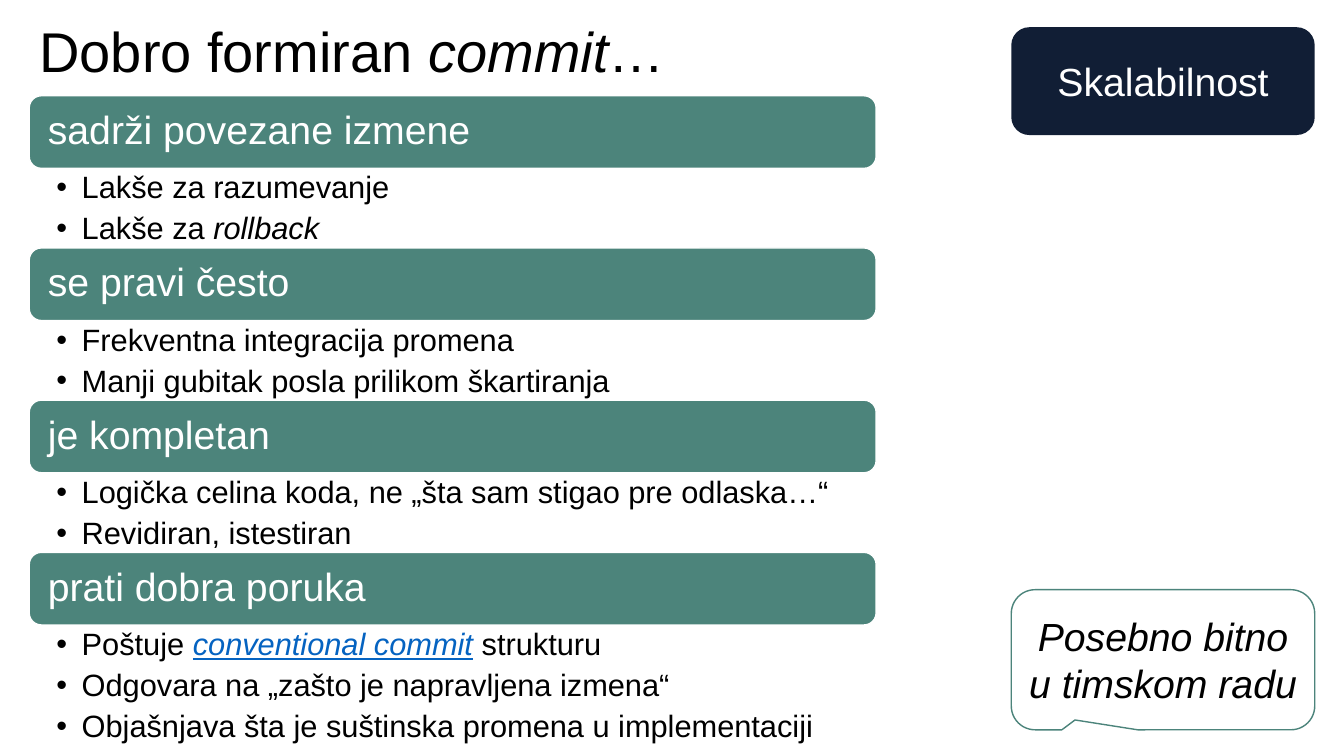
from lxml import etree
from pptx import Presentation
from pptx.dml.color import RGBColor
from pptx.enum.shapes import MSO_SHAPE
from pptx.enum.text import MSO_ANCHOR, MSO_AUTO_SIZE, PP_ALIGN
from pptx.oxml.ns import qn
from pptx.util import Inches, Pt

ROUNDED = MSO_SHAPE.ROUNDED_RECTANGLE
CALLOUT = MSO_SHAPE.ROUNDED_RECTANGULAR_CALLOUT
TOP, MIDDLE = MSO_ANCHOR.TOP, MSO_ANCHOR.MIDDLE
LEFT, CENTER = PP_ALIGN.LEFT, PP_ALIGN.CENTER
BLACK = RGBColor(0x00, 0x00, 0x00)
WHITE = RGBColor(0xFF, 0xFF, 0xFF)
GREEN = RGBColor(0x4C, 0x84, 0x7B)
NAVY = RGBColor(0x11, 0x1E, 0x35)
LINK_BLUE = RGBColor(0x05, 0x63, 0xC1)

BAR_LEFT, BAR_WIDTH, BAR_HEIGHT = 0.29, 8.4, 0.72
FIRST_BAR_TOP, SECTION_STEP = 0.95, 1.51
LINK_TEXT = "conventional commit"
SECTIONS = [
    ("sadrži povezane izmene",
     ["Lakše za razumevanje", "Lakše za *rollback*"]),
    ("se pravi često",
     ["Frekventna integracija promena",
      "Manji gubitak posla prilikom škartiranja"]),
    ("je kompletan",
     ["Logička celina koda, ne „šta sam stigao pre odlaska…“",
      "Revidiran, istestiran"]),
    ("prati dobra poruka",
     [f"Poštuje *{LINK_TEXT}* strukturu",
      "Odgovara na „zašto je napravljena izmena“",
      "Objašnjava šta je suštinska promena u implementaciji"]),
]


def write(para, text, size, color, align=LEFT):
    """Fill a paragraph; words between asterisks become italic."""
    para.alignment = align
    for number, part in enumerate(text.split("*")):
        if part:
            span = para.add_run()
            span.text = part
            span.font.name = "Arial"
            span.font.size = Pt(size)
            span.font.bold = False
            span.font.italic = number % 2 == 1
            span.font.color.rgb = color


def add_box(kind, left, top, width, height, fill, line=None):
    box = page.shapes.add_shape(kind, Inches(left), Inches(top),
                                Inches(width), Inches(height))
    box.shadow.inherit = False
    box.fill.solid()
    box.fill.fore_color.rgb = fill
    if line is None:
        box.line.fill.background()
    else:
        box.line.color.rgb = line
        box.line.width = Pt(1)
    box.text_frame.word_wrap = True
    box.text_frame.vertical_anchor = MIDDLE
    return box


deck = Presentation()
deck.slide_width = Inches(13.33)
deck.slide_height = Inches(7.5)
page = deck.slides.add_slide(deck.slide_layouts.get_by_name("Comparison"))

# Title
title = page.shapes.title
title.left, title.top = Inches(0.29), Inches(-0.02)
title.width, title.height = Inches(9.42), Inches(0.83)
title.text_frame.vertical_anchor = TOP
title.text_frame.auto_size = MSO_AUTO_SIZE.NONE
title_para = title.text_frame.paragraphs[0]
title_para.line_spacing = 1.2
title_para.space_after = Pt(6)
write(title_para, "Dobro formiran *commit*…", 40, BLACK)

# The layout's four body placeholders hold the lists; the rest go
bodies = []
for holder in list(page.placeholders):
    index = holder.placeholder_format.idx
    if 1 <= index <= 4:
        bodies.append(holder)
    elif index >= 10:
        holder.element.getparent().remove(holder.element)

# Green bars with their lists
for number, (body, (heading, points)) in enumerate(zip(bodies, SECTIONS)):
    top = FIRST_BAR_TOP + number * SECTION_STEP
    bar = add_box(ROUNDED, BAR_LEFT, top, BAR_WIDTH, BAR_HEIGHT, GREEN, WHITE)
    bar.text_frame.margin_left = Inches(0.15)
    bar_para = bar.text_frame.paragraphs[0]
    bar_para.line_spacing = 0.9
    write(bar_para, heading, 28, WHITE)

    body.left, body.top = Inches(BAR_LEFT), Inches(top + BAR_HEIGHT)
    body.width = Inches(BAR_WIDTH)
    body.height = Inches(0.39 * len(points) + 0.01)
    frame = body.text_frame
    frame.auto_size = MSO_AUTO_SIZE.NONE
    frame.vertical_anchor = TOP
    frame.margin_left, frame.margin_right = Inches(0.27), Inches(0.22)
    frame.margin_top = frame.margin_bottom = Inches(0.04)
    for position, point in enumerate(points):
        para = frame.paragraphs[0] if position == 0 else frame.add_paragraph()
        para.line_spacing = 0.9
        para.space_before = Pt(0)
        para.space_after = Pt(5.4)
        write(para, point, 22, BLACK)
        properties = para._p.get_or_add_pPr()
        properties.set("marL", str(Inches(0.25)))
        properties.set("indent", str(Inches(-0.25)))
        etree.SubElement(properties, qn("a:buFont"), typeface="Arial")
        etree.SubElement(properties, qn("a:buChar"), char="•")
        for span in para.runs:
            if span.text == LINK_TEXT:
                span.font.underline = True
                span.font.color.rgb = LINK_BLUE

# Topic label and callout on the right
label = add_box(ROUNDED, 10.03, 0.27, 3.01, 1.07, NAVY)
write(label.text_frame.paragraphs[0], "Skalabilnost", 28, WHITE, CENTER)

callout = add_box(CALLOUT, 10.03, 5.85, 3.01, 1.39, WHITE, GREEN)
for position, value in enumerate((-0.29, 0.43, 0.17)):
    callout.adjustments[position] = value
write(callout.text_frame.paragraphs[0], "*Posebno bitno u timskom radu*",
      28, BLACK, CENTER)

deck.save("out.pptx")
